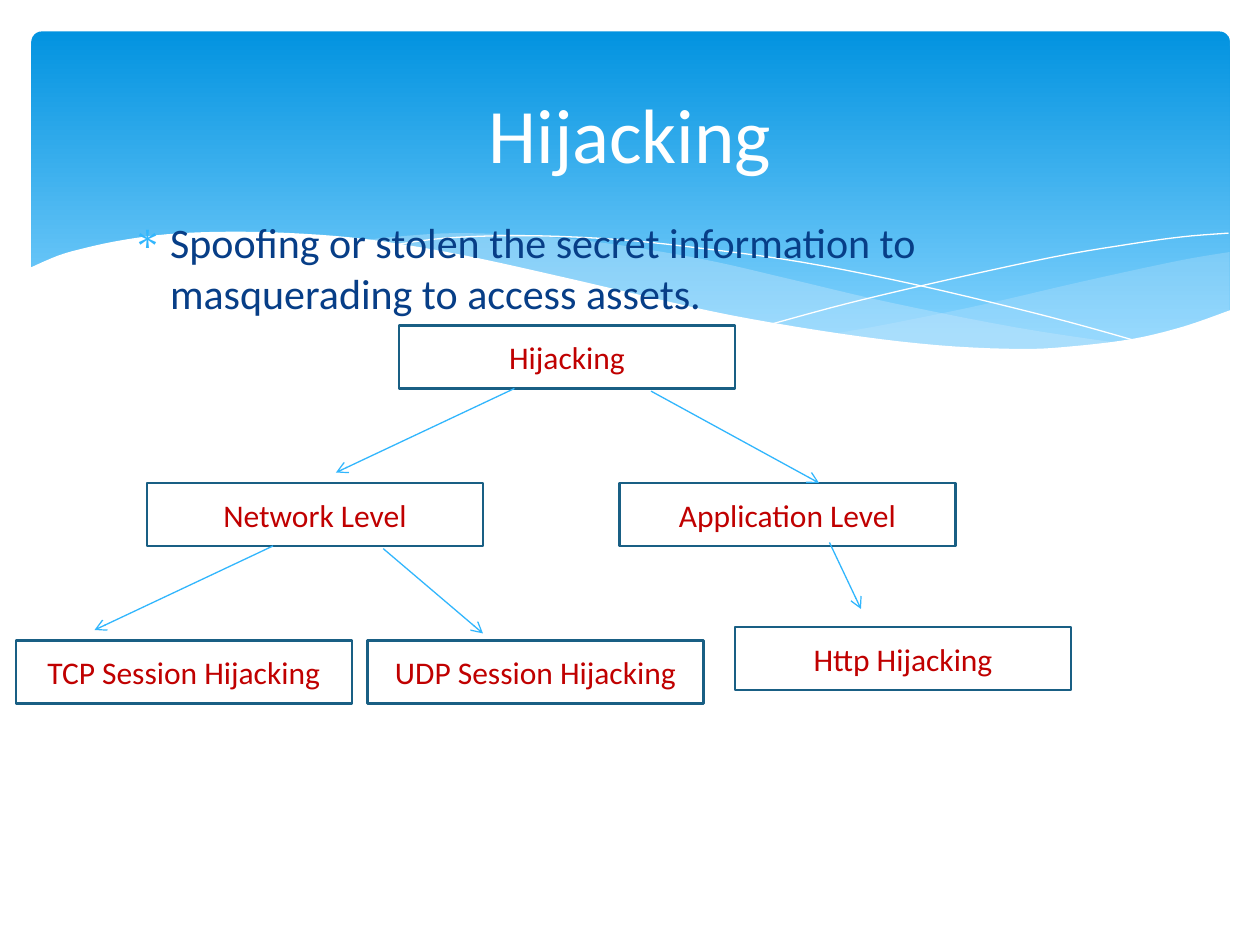
"""Build the Hijacking slide: a wave banner, a definition and a tree of attack types."""
import pptx
import pptx.dml.color
import pptx.enum.dml
import pptx.enum.shapes
import pptx.enum.text
import pptx.oxml.ns
import pptx.util
from lxml import etree

RGBColor = pptx.dml.color.RGBColor
WHITE = RGBColor(0xFF, 0xFF, 0xFF)
BANNER_TOP = RGBColor(0x02, 0x93, 0xE0)
BANNER_BOTTOM = RGBColor(0x83, 0xD3, 0xFE)
MIST = RGBColor(0xC6, 0xE7, 0xFC)
SKY = RGBColor(0x31, 0xB6, 0xFD)
NAVY = RGBColor(0x07, 0x3E, 0x87)
TEAL = RGBColor(0x19, 0x5F, 0x84)
RED = RGBColor(0xC0, 0x00, 0x00)
FONT = "Calibri"
INCH = 914400
CELL = INCH / 12
BOX_COLUMNS, BOX_ROWS = 32, 6


def smooth(points, steps=5):
    """Return a curve through the points, in EMU."""
    ends = [points[0], *points, points[-1]]
    curve = []
    for a, b, c, d in zip(ends, ends[1:], ends[2:], ends[3:]):
        for step in range(steps):
            t = step / steps
            curve.append(tuple(
                INCH * (q + t * (r - p) / 2 + t**2 * (2 * p - 5 * q + 4 * r - s) / 2
                        + t**3 * (3 * q - p - 3 * r + s) / 2)
                for p, q, r, s in zip(a, b, c, d)))
    return curve + [tuple(INCH * value for value in points[-1])]


def write(shape, text, size, color, align):
    """Put one formatted paragraph in a shape."""
    frame = shape.text_frame
    frame.word_wrap = True
    para = frame.paragraphs[0]
    para.alignment = align
    span = para.add_run()
    span.text = text
    span.font.color.rgb = color
    for name, value in {"name": FONT, "size": pptx.util.Pt(size), "bold": False}.items():
        setattr(span.font, name, value)
    return para


deck = pptx.Presentation()
deck.slide_width, deck.slide_height = pptx.util.Inches(10), pptx.util.Inches(7.5)
page = deck.slides.add_slide(deck.slide_layouts[1])
shapes = page.shapes
CENTER = pptx.enum.text.PP_ALIGN.CENTER
LEFT = pptx.enum.text.PP_ALIGN.LEFT
MIDDLE = pptx.enum.text.MSO_ANCHOR.MIDDLE
PRESET = pptx.enum.shapes.MSO_SHAPE

banner = shapes.add_shape(PRESET.ROUNDED_RECTANGLE,
                          *(pptx.util.Inches(n) for n in (0.25, 0.25, 9.51, 2.7)))
banner.adjustments[0] = 0.03
banner.shadow.inherit = False
banner.line.fill.background()
banner.fill.gradient()
banner.fill.gradient_angle = 270
for stop, color, position in zip(banner.fill.gradient_stops, (BANNER_TOP, BANNER_BOTTOM), (0, 0.9)):
    stop.color.rgb = color
    stop.position = position

right_crest = [(9.76, 2), (9.35, 2.07), (8.61, 2.23), (7.79, 2.42), (7.06, 2.57), (6.61, 2.65)]
right_trough = [(6.61, 2.65), (7.05, 2.71), (7.57, 2.76), (8.14, 2.78), (8.63, 2.75),
                (9.05, 2.69), (9.42, 2.59), (9.76, 2.47)]
middle_crest = [(8.93, 2.73), (8.07, 2.6), (7.06, 2.4), (6.29, 2.22), (5.69, 2.08), (5.14, 1.98),
                (4.65, 1.91), (4.2, 1.87), (3.61, 1.85), (3.13, 1.88), (2.86, 1.91)]
middle_trough = [(2.86, 1.91), (3.42, 1.99), (4.04, 2.11), (4.91, 2.32), (5.66, 2.48),
                 (6.34, 2.61), (6.95, 2.7), (7.48, 2.76), (8.07, 2.78), (8.57, 2.77), (8.93, 2.73)]
falling_line = [(3.09, 1.95), (3.53, 1.89), (4.16, 1.87), (4.89, 1.9), (5.56, 1.97),
                (6.36, 2.08), (7.27, 2.26), (8.31, 2.51), (9.07, 2.72)]
rising_line = [(6.13, 2.57), (6.72, 2.41), (7.48, 2.23), (8.36, 2.04), (8.95, 1.94),
               (9.38, 1.88), (9.75, 1.85)]
front_wave = [(9.77, 2.46), (9.4, 2.59), (8.99, 2.69), (8.5, 2.75), (8.09, 2.77), (7.44, 2.74),
              (6.68, 2.65), (5.79, 2.5), (5.03, 2.33), (4.47, 2.2), (3.65, 2.02), (2.92, 1.9),
              (2.3, 1.85), (1.77, 1.84), (1.32, 1.86), (0.95, 1.91), (0.67, 1.97), (0.46, 2.03),
              (0.23, 2.13)]
front_base = [(0.23, 3.29), (9.77, 3.29)]
waves = [
    (smooth(right_crest) + smooth(right_trough), MIST, 29),
    (smooth(middle_crest) + smooth(middle_trough), MIST, 40),
    (smooth(falling_line), None, 100),
    (smooth(rising_line), None, 100),
    (smooth(front_wave) + smooth(front_base, 1), WHITE, 100),
]
for curve, color, opacity in waves:
    builder = shapes.build_freeform(*curve[0])
    builder.add_line_segments(curve[1:], close=color is not None)
    wave = builder.convert_to_shape()
    wave.shadow.inherit = False
    if color is None:
        wave.fill.background()
        wave.line.color.rgb = WHITE
        wave.line.width = 0
        continue
    wave.line.fill.background()
    wave.fill.solid()
    wave.fill.fore_color.rgb = color
    if opacity < 100:
        tint = wave.fill._xPr.find(".//" + pptx.oxml.ns.qn("a:srgbClr"))
        etree.SubElement(tint, pptx.oxml.ns.qn("a:alpha"), val=str(opacity * 1000))

title, body = shapes.title, page.placeholders[1]
for holder, place in ((body, (0.95, 1.67, 8.1, 5.03)), (title, (0.5, 0.37, 9, 1.37))):
    for name, value in zip(("left", "top", "width", "height"), place):
        setattr(holder, name, pptx.util.Inches(value))
    shapes._spTree.append(holder._element)

title.text_frame.vertical_anchor = MIDDLE
write(title, "Hijacking", 44, WHITE, CENTER)
definition = write(body, "Spoofing or stolen the secret information to masquerading to access assets.",
                   24, NAVY, LEFT)
definition.space_before = pptx.util.Pt(0)
layout = definition._p.get_or_add_pPr()
layout.set("marL", str(int(0.3 * INCH)))
layout.set("indent", str(int(-0.3 * INCH)))
bullet_color = etree.SubElement(layout, pptx.oxml.ns.qn("a:buClr"))
etree.SubElement(bullet_color, pptx.oxml.ns.qn("a:srgbClr"), val=str(SKY))
etree.SubElement(layout, pptx.oxml.ns.qn("a:buFont"), typeface="Symbol")
etree.SubElement(layout, pptx.oxml.ns.qn("a:buChar"), char="∗")

tree = [
    ("Hijacking", 38, 31),
    ("Network Level", 14, 46),
    ("Application Level", 59, 46),
    ("TCP Session Hijacking", 1.5, 61),
    ("UDP Session Hijacking", 35, 61),
    ("Http Hijacking", 70, 59.75),
]
for label, column, row in tree:
    box = shapes.add_shape(PRESET.RECTANGLE,
                           *(round(n * CELL) for n in (column, row, BOX_COLUMNS, BOX_ROWS)))
    box.shadow.inherit = False
    box.fill.solid()
    box.fill.fore_color.rgb = WHITE
    box.line.color.rgb = TEAL
    box.line.width = pptx.util.Pt(1.25)
    box.text_frame.vertical_anchor = MIDDLE
    write(box, label, 18, RED, CENTER)

arrows = [
    (49, 37, 32, 45),
    (62, 37.25, 78, 46),
    (26, 52, 9, 60),
    (36.5, 52.25, 46, 60.33),
    (79, 51.67, 82, 58),
]
for ends in arrows:
    arrow = shapes.add_connector(pptx.enum.shapes.MSO_CONNECTOR.STRAIGHT,
                                 *(round(n * CELL) for n in ends))
    arrow.line.color.rgb = SKY
    arrow.line.width = pptx.util.Pt(0.75)
    etree.SubElement(arrow.line._get_or_add_ln(), pptx.oxml.ns.qn("a:tailEnd"), type="arrow")
    etree.SubElement(arrow._element.spPr, pptx.oxml.ns.qn("a:effectLst"))

deck.save("out.pptx")
